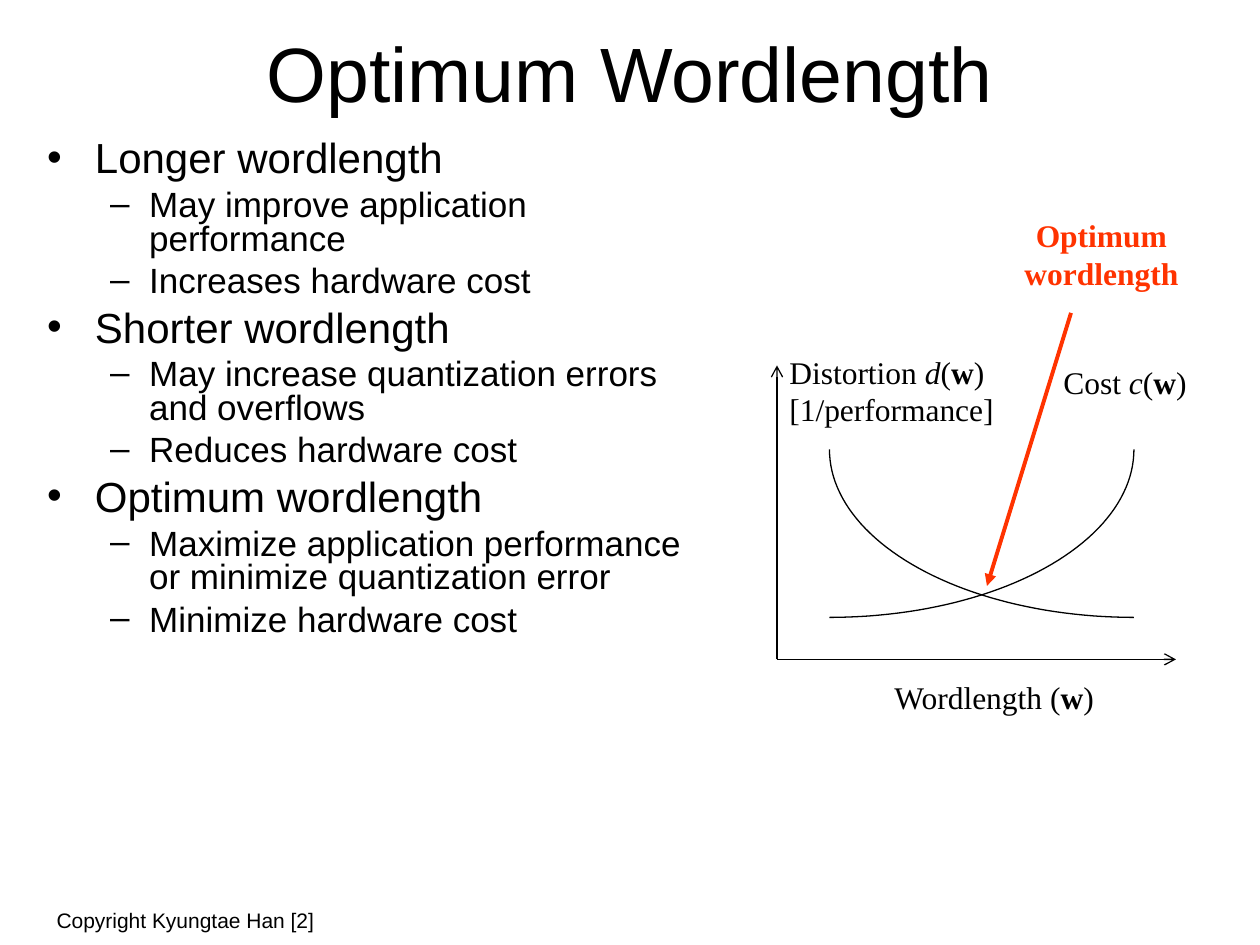
import math
from typing import NamedTuple

import pptx
import pptx.dml.color
import pptx.enum.shapes
import pptx.enum.text
import pptx.oxml
import pptx.oxml.ns
import pptx.util

RGBColor = pptx.dml.color.RGBColor
Align = pptx.enum.text.PP_ALIGN
Anchor = pptx.enum.text.MSO_ANCHOR

BLACK = RGBColor(0x00, 0x00, 0x00)
RED = RGBColor(0xFF, 0x33, 0x00)
SANS, SERIF = "Arial", "Times New Roman"
COLS, ROWS = 120, 90
WIDTH, HEIGHT = pptx.util.Inches(10), pptx.util.Inches(7.5)
STEPS = 48


class Span(NamedTuple):
    text: str
    bold: bool = False
    slant: bool = False


class Para(NamedTuple):
    spans: list[Span]
    level: int | None = None


class Level(NamedTuple):
    mark: str
    size: int
    indent: float
    hang: float
    before: int


class Label(NamedTuple):
    box: tuple
    paras: list[Para]
    align: Align = Align.LEFT
    color: RGBColor = BLACK


class Line(NamedTuple):
    start: tuple
    end: tuple
    color: RGBColor
    width: float
    head: str


class Curve(NamedTuple):
    """A quarter ellipse below its centre; side is -1 for left, 1 for right."""
    center: tuple
    side: int


def col(n: float) -> int:
    return round(WIDTH * n / COLS)


def row(n: float) -> int:
    return round(HEIGHT * n / ROWS)


def plain(text: str, level: int | None = None) -> Para:
    return Para([Span(text)], level)


def term(lead: str, name: str = "") -> Para:
    """A label that ends in a function of the bold vector w."""
    return Para([Span(lead), Span(name, slant=True), Span("("),
                 Span("w", bold=True), Span(")")])


LEVELS = [Level("•", 24, 0.38, 0.38, 6), Level("–", 20, 0.81, 0.31, 5)]

POINTS = [
    plain("Longer wordlength", 0),
    plain("May improve application\nperformance", 1),
    plain("Increases hardware cost", 1),
    plain("Shorter wordlength", 0),
    plain("May increase quantization errors\nand overflows", 1),
    plain("Reduces hardware cost", 1),
    plain("Optimum wordlength", 0),
    plain("Maximize application performance\nor minimize quantization error", 1),
    plain("Minimize hardware cost", 1),
]

LABELS = [
    Label((84, 64, 22.4, 4.8), [term("Wordlength ")]),
    Label((99.2, 34, 15, 4.8), [term("Cost ", "c")], Align.RIGHT),
    Label((74, 33, 23, 8.4),
          [term("Distortion ", "d"), plain("[1/performance]")]),
    Label((95.9, 20, 18, 8.4),
          [Para([Span(word, bold=True)]) for word in ("Optimum", "wordlength")],
          Align.CENTER, RED),
]

ORIGIN = (74, 62.8)
LINES = [
    Line(ORIGIN, (74, 34.8), BLACK, 0.75, "arrow"),
    Line(ORIGIN, (112, 62.8), BLACK, 0.75, "arrow"),
    Line((102, 29.8), (94, 55.8), RED, 2.25, "triangle"),
]

CURVES = [Curve((108, 42.8), -1), Curve((79, 42.8), 1)]
REACH, DROP = 29, 16


def add_mark(para, level: Level) -> None:
    """Give a paragraph its bullet, hanging indent and spacing."""
    props = para._p.get_or_add_pPr()
    props.set("marL", str(pptx.util.Inches(level.indent)))
    props.set("indent", str(-pptx.util.Inches(level.hang)))
    uri = pptx.oxml.ns.nsdecls("a")
    for tag in (f'<a:buFont {uri} typeface="{SANS}"/>',
                f'<a:buChar {uri} char="{level.mark}"/>'):
        props.append(pptx.oxml.parse_xml(tag))
    para.line_spacing = 0.8


def add_text(slide, box: tuple, paras: list[Para], *, size: int = 18,
             font: str = SERIF, color: RGBColor = BLACK,
             align: Align = Align.LEFT, anchor: Anchor = Anchor.TOP,
             wrap: bool = False) -> None:
    left, top, wide, high = box
    shape = slide.shapes.add_textbox(col(left), row(top), col(wide), row(high))
    frame = shape.text_frame
    frame.word_wrap = wrap
    frame.vertical_anchor = anchor
    for index, item in enumerate(paras):
        para = frame.add_paragraph() if index else frame.paragraphs[0]
        para.alignment = align
        level = None if item.level is None else LEVELS[item.level]
        if level:
            add_mark(para, level)
            para.level = item.level
            if index:
                para.space_before = pptx.util.Pt(level.before)
        for span in filter(lambda part: part.text, item.spans):
            for order, piece in enumerate(span.text.split("\n")):
                if order:
                    para.add_line_break()
                run = para.add_run()
                run.text = piece
                run.font.name = font
                run.font.size = pptx.util.Pt(level.size if level else size)
                run.font.color.rgb = color
                run.font.bold = span.bold
                run.font.italic = span.slant


def add_line(slide, line: Line) -> None:
    kind = pptx.enum.shapes.MSO_CONNECTOR.STRAIGHT
    (left, top), (right, low) = line.start, line.end
    shape = slide.shapes.add_connector(kind, col(left), row(top),
                                       col(right), row(low))
    shape.line.color.rgb = line.color
    shape.line.width = pptx.util.Pt(line.width)
    uri = pptx.oxml.ns.nsdecls("a")
    shape.line._get_or_add_ln().append(pptx.oxml.parse_xml(
        f'<a:tailEnd {uri} type="{line.head}"/>'))
    shape._element.spPr.append(pptx.oxml.parse_xml(f"<a:effectLst {uri}/>"))


def add_curve(slide, curve: Curve) -> None:
    mid, top = curve.center
    turns = [math.pi / 2 * step / STEPS for step in range(STEPS + 1)]
    dots = [(col(mid + curve.side * REACH * math.sin(turn)),
             row(top + DROP * math.cos(turn))) for turn in turns]
    form = slide.shapes.build_freeform(*dots[0])
    form.add_line_segments(dots[1:], close=False)
    shape = form.convert_to_shape()
    shape.shadow.inherit = False
    shape.fill.background()
    shape.line.color.rgb = BLACK
    shape.line.width = pptx.util.Pt(0.75)


def main() -> None:
    deck = pptx.Presentation()
    deck.slide_width, deck.slide_height = WIDTH, HEIGHT
    slide = deck.slides.add_slide(deck.slide_layouts[6])
    add_text(slide, (6, 3.6, 108, 6.5), [plain("Optimum Wordlength")], size=44,
             font=SANS, align=Align.CENTER, anchor=Anchor.MIDDLE, wrap=True)
    add_text(slide, (3.3, 12.9, 114.4, 67.6), POINTS, font=SANS, wrap=True)
    for curve in CURVES:
        add_curve(slide, curve)
    for line in LINES:
        add_line(slide, line)
    for label in LABELS:
        add_text(slide, label.box, label.paras, align=label.align,
                 color=label.color)
    add_text(slide, (4.2, 85.8, 28, 3.6), [plain("Copyright Kyungtae Han [2]")],
             size=12, font=SANS, anchor=Anchor.MIDDLE)
    deck.save("out.pptx")


if __name__ == "__main__":
    main()
